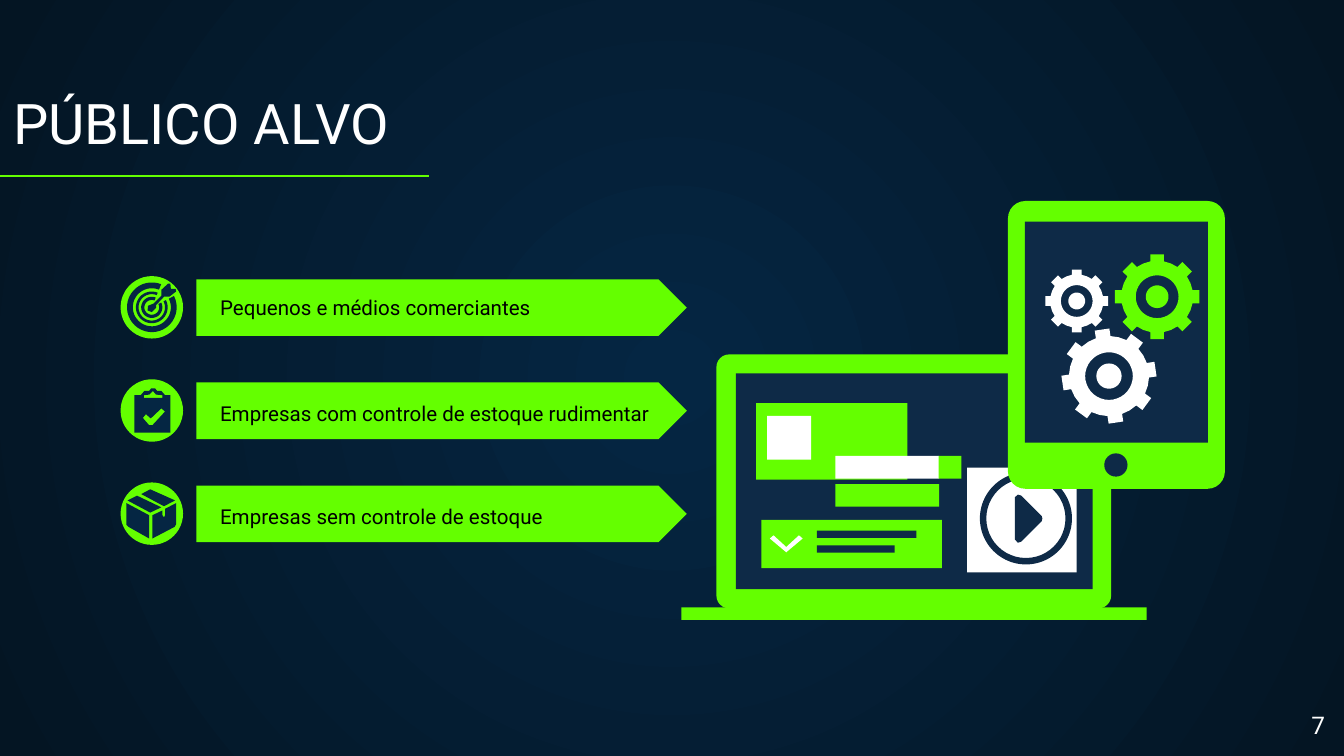
"""Build the target audience slide with its three segments and device illustration."""
from dataclasses import dataclass
from math import asin, cos, degrees, radians, sin

from pptx import Presentation
from pptx.dml.color import RGBColor as RGB
from pptx.enum.shapes import MSO_CONNECTOR, MSO_SHAPE as SHAPE
from pptx.enum.text import MSO_ANCHOR as ANCHOR, PP_ALIGN as ALIGN
from pptx.oxml import parse_xml
from pptx.oxml.ns import nsdecls, qn
from pptx.util import Cm, Pt


@dataclass(frozen=True)
class Theme:
    font: str = "Roboto"
    green: RGB = RGB(0x64, 0xFF, 0x00)
    navy: RGB = RGB(0x0E, 0x2A, 0x47)
    icon: RGB = RGB(0x05, 0x26, 0x43)
    edge: RGB = RGB(0x04, 0x15, 0x23)
    white: RGB = RGB(0xFF, 0xFF, 0xFF)
    black: RGB = RGB(0x00, 0x00, 0x00)
    title: Pt = Pt(30)
    body: Pt = Pt(11)
    number: Pt = Pt(13)
    rule: Pt = Pt(0.75)


def arc(cx, cy, r, start=0, end=360):
    angles = [radians(start + (end - start) * i / 36) for i in range(37)]
    return [(cx + r * cos(a), cy - r * sin(a)) for a in angles]


def draw(shapes, color, *contours):
    builder = None
    for contour in contours:
        points = [(Cm(x), Cm(y)) for x, y in contour]
        if builder is None:
            builder = shapes.build_freeform(*points[0])
        else:
            builder.move_to(*points[0])
        builder.add_line_segments(points[1:], close=True)
    sp = builder.convert_to_shape()
    sp.shadow.inherit = False
    sp.fill.solid()
    sp.fill.fore_color.rgb = color
    sp.line.fill.background()


theme = Theme()
prs = Presentation()
prs.slide_width, prs.slide_height = Cm(25.4), Cm(14.29)
s = prs.slides.add_slide(prs.slide_layouts[6])

bg = s.background.fill
bg.gradient()
for stop, color in zip(bg.gradient_stops, (theme.icon, theme.edge)):
    stop.color.rgb = color
grad = s.element.find(".//" + qn("a:gradFill"))
grad.remove(grad.find(qn("a:lin")))
grad.append(parse_xml(
    f'<a:path {nsdecls("a")} path="circle">'
    '<a:fillToRect l="50000" t="50000" r="50000" b="50000"/></a:path>'))

segments = [
    ("Pequenos e médios comerciantes", 5.74),
    ("Empresas com controle de estoque rudimentar", 7.75),
    ("Empresas sem controle de estoque", 9.7),
]
pitch = 1.95
rows = range(len(segments))
banners = [(SHAPE.PENTAGON, 3.71, 5.28 + i * pitch, 9.27, 1.07, theme.green, 0.5) for i in rows]
badges = [(SHAPE.OVAL, 2.28, 5.22 + i * pitch, 1.18, 1.18, theme.green, None) for i in rows]
laptop = [
    (SHAPE.ROUNDED_RECTANGLE, 13.54, 6.7, 7.46, 4.8, theme.green, 0.05),
    (SHAPE.RECTANGLE, 13.91, 7.06, 6.74, 4.08, theme.navy, None),
    (SHAPE.RECTANGLE, 12.88, 11.48, 8.79, 0.24, theme.green, None),
    (SHAPE.RECTANGLE, 14.29, 7.62, 2.86, 1.45, theme.green, None),
    (SHAPE.RECTANGLE, 14.5, 7.86, 0.83, 0.83, theme.white, None),
    (SHAPE.RECTANGLE, 14.39, 9.83, 0.9, 0.91, theme.green, None),
    (SHAPE.RECTANGLE, 15.29, 9.83, 2.51, 0.91, theme.green, None),
    (SHAPE.RECTANGLE, 15.44, 10.03, 1.88, 0.14, theme.navy, None),
    (SHAPE.RECTANGLE, 15.44, 10.31, 1.47, 0.14, theme.navy, None),
    (SHAPE.RECTANGLE, 15.79, 9.15, 1.96, 0.43, theme.green, None),
    (SHAPE.RECTANGLE, 15.79, 8.62, 1.96, 0.43, theme.white, None),
    (SHAPE.RECTANGLE, 17.74, 8.62, 0.43, 0.43, theme.green, None),
    (SHAPE.RECTANGLE, 18.28, 8.84, 2.07, 1.98, theme.white, None),
    (SHAPE.DONUT, 18.52, 8.93, 1.74, 1.74, theme.navy, 0.07),
]
tablet = [
    (SHAPE.ROUNDED_RECTANGLE, 19.05, 3.8, 4.1, 5.44, theme.green, 0.08),
    (SHAPE.RECTANGLE, 19.37, 4.19, 3.46, 4.18, theme.navy, None),
    (SHAPE.OVAL, 20.87, 8.57, 0.44, 0.44, theme.navy, None),
]
for kind, x, y, w, h, color, adjustment in banners + badges + laptop + tablet:
    sp = s.shapes.add_shape(kind, Cm(x), Cm(y), Cm(w), Cm(h))
    sp.shadow.inherit = False
    sp.fill.solid()
    sp.fill.fore_color.rgb = color
    sp.line.fill.background()
    if adjustment is not None:
        sp.adjustments[0] = adjustment

rule = s.shapes.add_connector(MSO_CONNECTOR.STRAIGHT, 0, Cm(3.33), Cm(8.1), Cm(3.33))
rule.line.color.rgb = theme.green
rule.line.width = theme.rule
rule._element.spPr.append(parse_xml(f'<a:effectLst {nsdecls("a")}/>'))

texts = [
    ("PÚBLICO ALVO", 0, 1.52, 21.77, 1.68, theme.title, theme.white, ANCHOR.BOTTOM, ALIGN.LEFT),
    ("7", 23.77, 13.18, 1.52, 1.09, theme.number, theme.white, ANCHOR.TOP, ALIGN.RIGHT),
]
texts += [(text, 3.91, y, 9.32, 0.53, theme.body, theme.black, ANCHOR.BOTTOM, ALIGN.LEFT)
          for text, y in segments]
for text, x, y, w, h, size, color, anchor, align in texts:
    tf = s.shapes.add_textbox(Cm(x), Cm(y), Cm(w), Cm(h)).text_frame
    tf.word_wrap = True
    tf.vertical_anchor = anchor
    tf.margin_left = tf.margin_right = tf.margin_top = tf.margin_bottom = Cm(0.25)
    p = tf.paragraphs[0]
    p.text = text
    p.alignment = align
    p.font.name, p.font.size, p.font.color.rgb = theme.font, size, color

chevron = [(14.55, 10.18), (14.62, 10.12), (14.86, 10.34),
           (15.1, 10.12), (15.17, 10.18), (14.86, 10.44)]
play = [(19.18, 9.4), (19.24, 9.35), (19.3, 9.37), (19.69, 9.76), (19.7, 9.8),
        (19.69, 9.85), (19.3, 10.24), (19.24, 10.26), (19.18, 10.2)]
draw(s.shapes, theme.white, chevron)
draw(s.shapes, theme.navy, play)

gears = [(21.87, 5.61, 0.81, 0, theme.green), (20.35, 5.69, 0.6, 0, theme.white),
         (20.96, 7.11, 0.9, 8.5, theme.white)]
for cx, cy, r, turn, color in gears:
    teeth = []
    for tooth in range(8):
        for ratio, side in ((0.84, -1), (1, -1), (1, 1), (0.84, 1)):
            angle = radians(turn + tooth * 45 + side * degrees(asin(0.155 / ratio)))
            teeth.append((cx + r * ratio * cos(angle), cy - r * ratio * sin(angle)))
        middle = radians(turn + tooth * 45 + 22.5)
        teeth.append((cx + r * 0.84 * cos(middle), cy - r * 0.84 * sin(middle)))
    draw(s.shapes, color, teeth, arc(cx, cy, r * 0.5), arc(cx, cy, r * 0.265))

for outer, inner in ((0.47, 0.36), (0.3, 0.25), (0.2, 0.14)):
    draw(s.shapes, theme.icon, arc(2.87, 5.81, outer, 68, 387) + arc(2.87, 5.81, inner, 387, 68))
dart = [(3.18, 5.36), (3.05, 5.48), (3.05, 5.59), (2.9, 5.74), (2.8, 5.78),
        (2.79, 5.87), (2.87, 5.9), (2.95, 5.82), (2.95, 5.77), (3.1, 5.61),
        (3.2, 5.61), (3.33, 5.51), (3.32, 5.46), (3.23, 5.46), (3.22, 5.36)]
draw(s.shapes, theme.icon, dart)

clipboard = [(2.54, 7.47), (2.66, 7.47), (2.73, 7.39), (2.82, 7.39), (2.86, 7.34), (2.93, 7.34),
             (2.97, 7.39), (3.05, 7.39), (3.12, 7.47), (3.22, 7.47), (3.22, 8.18), (2.54, 8.18)]
clip = [(2.72, 7.52), (2.72, 7.47), (2.82, 7.46), (2.89, 7.39),
        (2.95, 7.46), (3.07, 7.47), (3.07, 7.52)]
check = [(3.05, 7.72), (3.12, 7.78), (2.88, 8.04), (2.82, 8.04),
         (2.7, 7.9), (2.76, 7.83), (2.85, 7.91)]
draw(s.shapes, theme.icon, clipboard, clip, check)

box_faces = [
    [(2.59, 9.37), (2.41, 9.46), (2.84, 9.69), (3.05, 9.59)],
    [(3.33, 9.51), (3.12, 9.62), (3.12, 9.74), (3.1, 9.78), (3.07, 9.74),
     (3.07, 9.65), (2.88, 9.74), (2.88, 10.18), (3.3, 9.96), (3.33, 9.91)],
    [(2.84, 9.25), (2.67, 9.34), (3.1, 9.57), (3.31, 9.46)],
    [(2.39, 9.51), (2.39, 9.92), (2.43, 9.96), (2.82, 10.18), (2.82, 9.74)],
]
for face in box_faces:
    draw(s.shapes, theme.icon, face)

prs.save("out.pptx")
